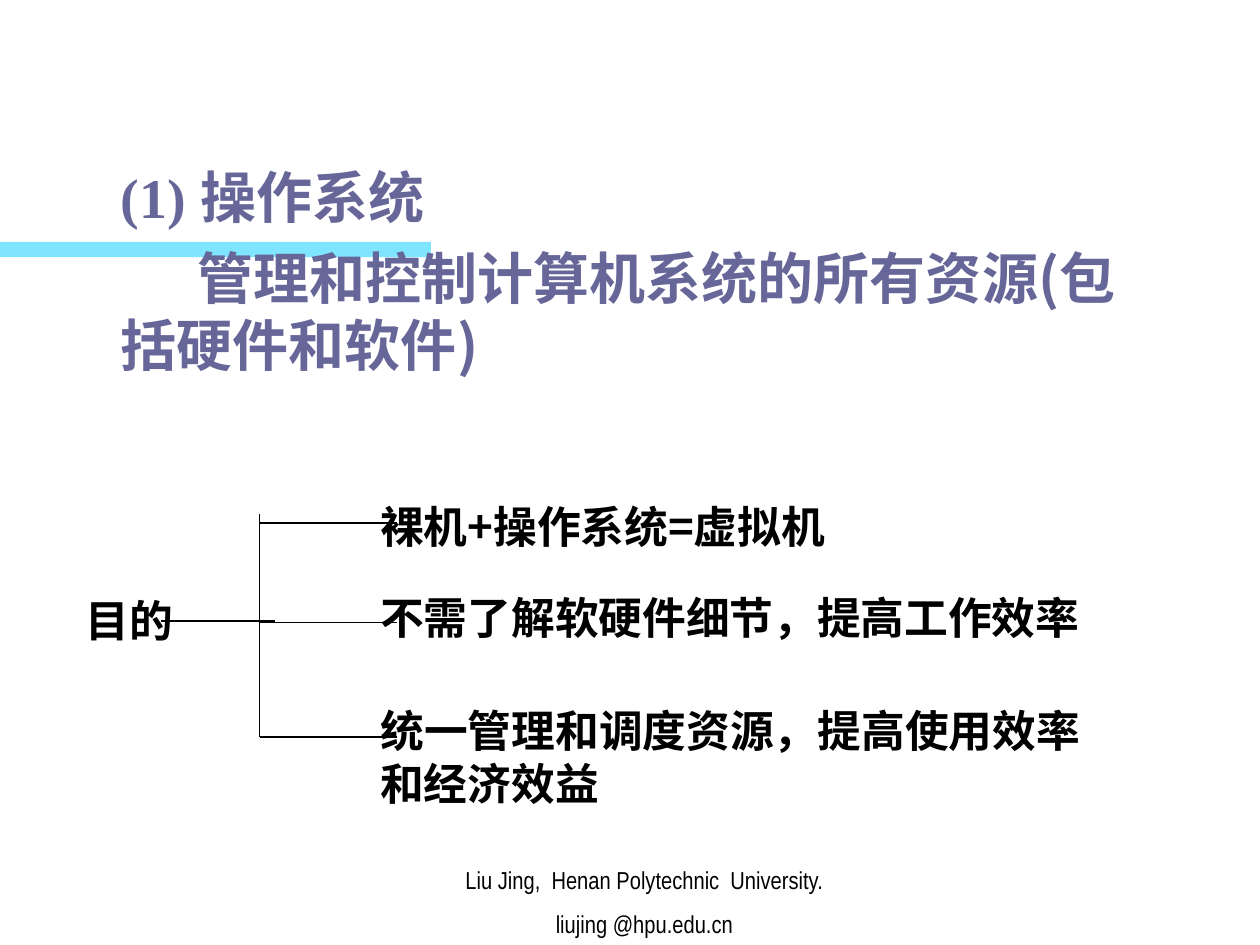
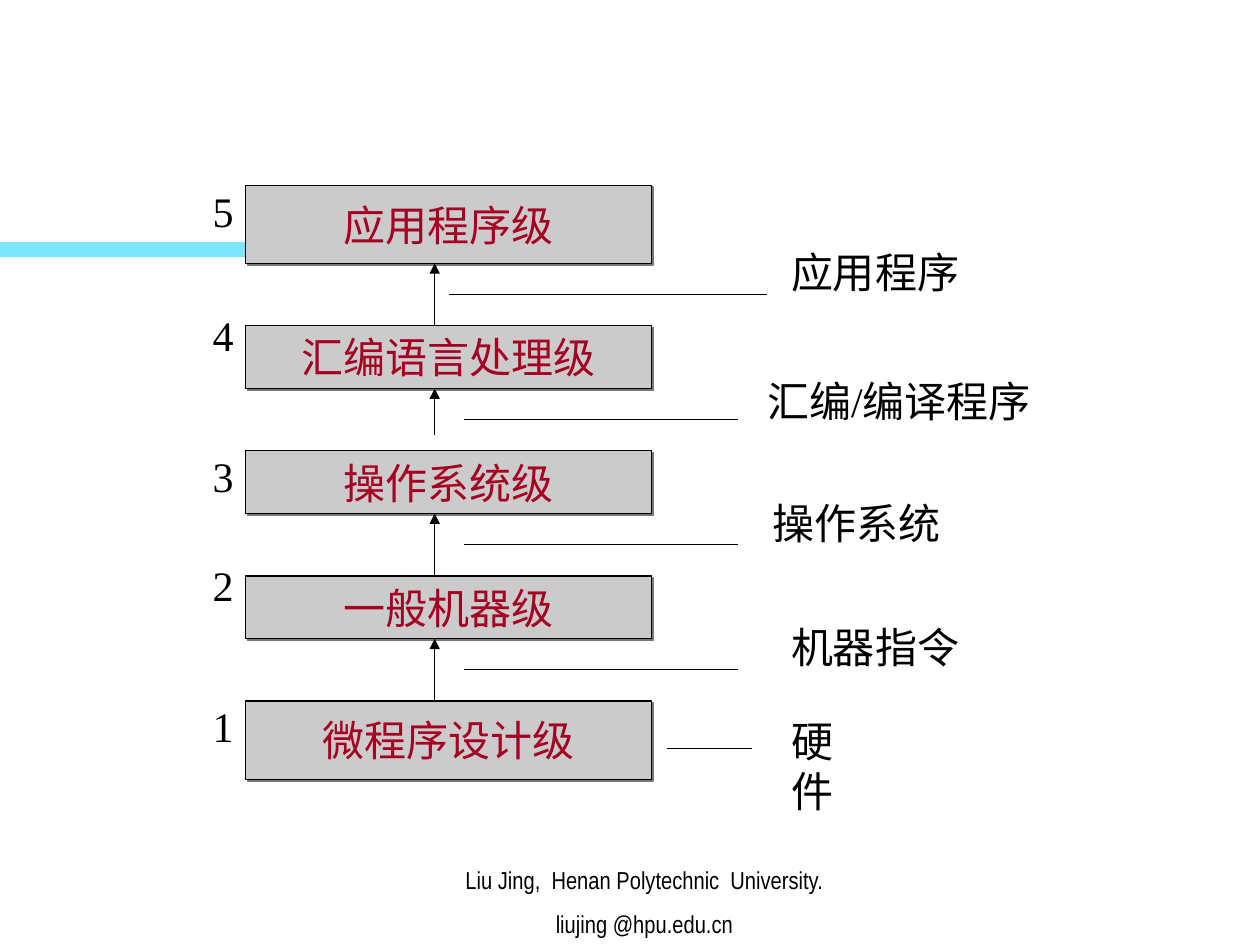
import pptx
import pptx.dml.color
import pptx.enum.dml
import pptx.enum.shapes
import pptx.enum.text
import pptx.oxml
import pptx.oxml.ns
import pptx.util
from dataclasses import dataclass

ALIGN = pptx.enum.text.PP_ALIGN
ANCHOR = pptx.enum.text.MSO_ANCHOR
AUTO_SIZE = pptx.enum.text.MSO_AUTO_SIZE
RECTANGLE = pptx.enum.shapes.MSO_SHAPE.RECTANGLE
STRAIGHT = pptx.enum.shapes.MSO_CONNECTOR.STRAIGHT
NAMESPACE = pptx.oxml.ns.nsdecls("a")

COLUMNS, ROWS = 100, 75
CELL = pptx.util.Inches(0.1)


@dataclass(frozen=True)
class Theme:
    black: str = "000000"
    band: str = "00CCFF"
    heading: str = "666699"
    level_fill: str = "CBCBCB"
    level_text: str = "A50021"
    shadow: str = "777777"
    serif: str = "Times New Roman"
    sans: str = "Noto Sans CJK SC"
    narrow: str = "Arial Narrow"
    heading_size: int = 32
    purpose_size: int = 25
    diagram_size: int = 24
    footer_size: int = 14


THEME = Theme()


def cells(*counts):
    """Turn counts of grid cells into lengths."""
    return [round(count * CELL) for count in counts]


def rgb(color):
    return pptx.dml.color.RGBColor.from_string(color)


def append_xml(parent, xml):
    parent.append(pptx.oxml.parse_xml(xml))


def write(shape, text, *, font=THEME.serif, size=THEME.diagram_size,
          color=THEME.black, bold=False, align=ALIGN.LEFT, anchor=ANCHOR.TOP,
          wrap=True, grow=False, before=0, margins=(1, 0.5)):
    """Fill a shape with text, one paragraph a line."""
    frame = shape.text_frame
    frame.text = text
    frame.word_wrap = wrap
    frame.auto_size = AUTO_SIZE.SHAPE_TO_FIT_TEXT if grow else AUTO_SIZE.NONE
    frame.vertical_anchor = anchor
    frame.margin_left, frame.margin_top = cells(*margins)
    frame.margin_right, frame.margin_bottom = cells(*margins)
    for index, paragraph in enumerate(frame.paragraphs):
        paragraph.alignment = align
        paragraph.space_before = pptx.util.Pt(before if index else 0)
        paragraph.font.name = font
        paragraph.font.size = pptx.util.Pt(size)
        paragraph.font.bold = bold
        paragraph.font.color.rgb = rgb(color)
    return frame


def add_text(slide, box, text, **text_format):
    return write(slide.shapes.add_textbox(*cells(*box)), text, **text_format)


def add_rectangle(slide, box, fill):
    shape = slide.shapes.add_shape(RECTANGLE, *cells(*box))
    shape.shadow.inherit = False
    shape.fill.solid()
    shape.fill.fore_color.rgb = rgb(fill)
    shape.line.fill.background()
    return shape


def add_line(slide, start, end, width=0.75, arrow=False):
    line = slide.shapes.add_connector(STRAIGHT, *cells(*start, *end))
    line.line.color.rgb = rgb(THEME.black)
    line.line.width = pptx.util.Pt(width)
    if arrow:
        append_xml(line.line._get_or_add_ln(),
                   f'<a:tailEnd {NAMESPACE} type="triangle"/>')
    append_xml(line._element.spPr, f"<a:effectLst {NAMESPACE}/>")


def add_level(slide, top, height, name):
    """Draw one level of the machine, with a hard shadow."""
    shape = add_rectangle(slide, (19.5, top, 32.2, height), THEME.level_fill)
    shape.line.color.rgb = rgb(THEME.black)
    shape.line.width = pptx.util.Pt(0.75)
    effects = shape._element.spPr.find(pptx.oxml.ns.qn("a:effectLst"))
    append_xml(effects,
               f'<a:outerShdw {NAMESPACE} dist="17960" dir="2700000">'
               f'<a:srgbClr val="{THEME.shadow}"/></a:outerShdw>')
    write(shape, name, color=THEME.level_text, align=ALIGN.CENTER,
          anchor=ANCHOR.MIDDLE, wrap=False)


def add_base_slide(presentation):
    """Add a blank slide with the band and the footer."""
    slide = presentation.slides.add_slide(presentation.slide_layouts[6])
    band = add_rectangle(slide, (0, 19.2, 34.2, 1.2), THEME.band)
    color = band._element.spPr.find(".//" + pptx.oxml.ns.qn("a:srgbClr"))
    append_xml(color, f'<a:alpha {NAMESPACE} val="50000"/>')
    add_text(slide, (30.3, 67.5, 41.7, 7.5),
             "Liu Jing,  Henan Polytechnic  University.\nliujing @hpu.edu.cn",
             font=THEME.narrow, size=THEME.footer_size, align=ALIGN.CENTER,
             anchor=ANCHOR.BOTTOM, before=8.8)
    return slide


def add_heading(slide):
    frame = add_text(slide, (5, 12.5, 88.3, 17.5),
                     "(1) 操作系统\n管理和控制计算机系统的所有资源(包括硬件和软件)",
                     size=THEME.heading_size, color=THEME.heading, bold=True,
                     before=8, margins=(0.8, 0.4))
    for paragraph, first_line in zip(frame.paragraphs, (0, 6.1)):
        properties = paragraph._p.get_or_add_pPr()
        margin, indent = cells(3.8, first_line)
        properties.set("marL", str(margin))
        properties.set("indent", str(indent))
    frame.paragraphs[1].font.name = THEME.sans


def add_purposes(slide):
    """Draw the bracket that leads from the root to the three purposes."""
    purpose_format = dict(size=THEME.purpose_size, bold=True,
                          align=ALIGN.JUSTIFY, grow=True)
    trunk, branch_end = 20.6, 31.5
    purposes = [
        ((39.2, 40.8, 5.1), 41.5, "裸机+操作系统=虚拟机"),
        ((46.4, 61.8, 5.1), 49.4, "不需了解软硬件细节，提高工作效率"),
        ((55.4, 57.5, 9.3), 58.5, "统一管理和调度资源，提高使用效率和经济效益"),
    ]
    for (top, width, height), branch, text in purposes:
        add_text(slide, (29.2, top, width, height), text,
                 font=THEME.sans, **purpose_format)
        add_line(slide, (trunk, branch), (branch_end, branch), width=1)
    add_line(slide, (trunk, 40.8), (trunk, 58.5), width=1)
    add_text(slide, (5.8, 46.6, 11.5, 5.1), "目的", **purpose_format)
    add_line(slide, (12.8, 49.3), (21.8, 49.3), width=1)


def add_level_diagram(slide):
    """Stack the five levels, with arrows upwards and labelled leaders."""
    first_bottom, pitch, gap = 20.9, 9.93, 4.95
    low, high = pitch - gap, 6.2
    levels = [
        ("应用程序级", high, 14.2),
        ("汇编语言处理级", low, 24.1),
        ("操作系统级", low, 35.3),
        ("一般机器级", low, 43.9),
        ("微程序设计级", high, 55.1),
    ]
    for index, (name, height, number_top) in enumerate(levels):
        top = first_bottom - high if index == 0 else (
            first_bottom + gap + pitch * (index - 1))
        add_level(slide, top, height, name)
        add_text(slide, (15.9, number_top, 3.6, 5), str(len(levels) - index),
                 wrap=False, grow=True)

    arrow_lengths = (gap, 3.7, gap, gap)
    for index, length in enumerate(arrow_lengths):
        tip = first_bottom + pitch * index
        add_line(slide, (34.5, tip + length), (34.5, tip), arrow=True)

    leaders = [
        (35.6, 60.9, "应用程序", (61.8, 19.1, 15.3)),
        (36.8, 58.6, "汇编/编译程序", (59.9, 29.3, 24.5)),
        (36.8, 58.6, "操作系统", (60.3, 39, 15.3)),
        (36.8, 58.6, "机器指令", (61.8, 48.8, 15.3)),
        (52.9, 59.7, "硬件", (61.8, 56.3, 8.6)),
    ]
    for index, (start, end, label, box) in enumerate(leaders):
        y = first_bottom + gap / 2 + pitch * index
        if label == "硬件":
            y = 59.4
        add_line(slide, (start, y), (end, y))
        add_text(slide, (*box, 5), label, wrap=False, grow=True)


def main():
    presentation = pptx.Presentation()
    presentation.slide_width, presentation.slide_height = cells(COLUMNS, ROWS)

    purpose_slide = add_base_slide(presentation)
    add_heading(purpose_slide)
    add_purposes(purpose_slide)

    add_level_diagram(add_base_slide(presentation))
    presentation.save("out.pptx")


if __name__ == "__main__":
    main()
